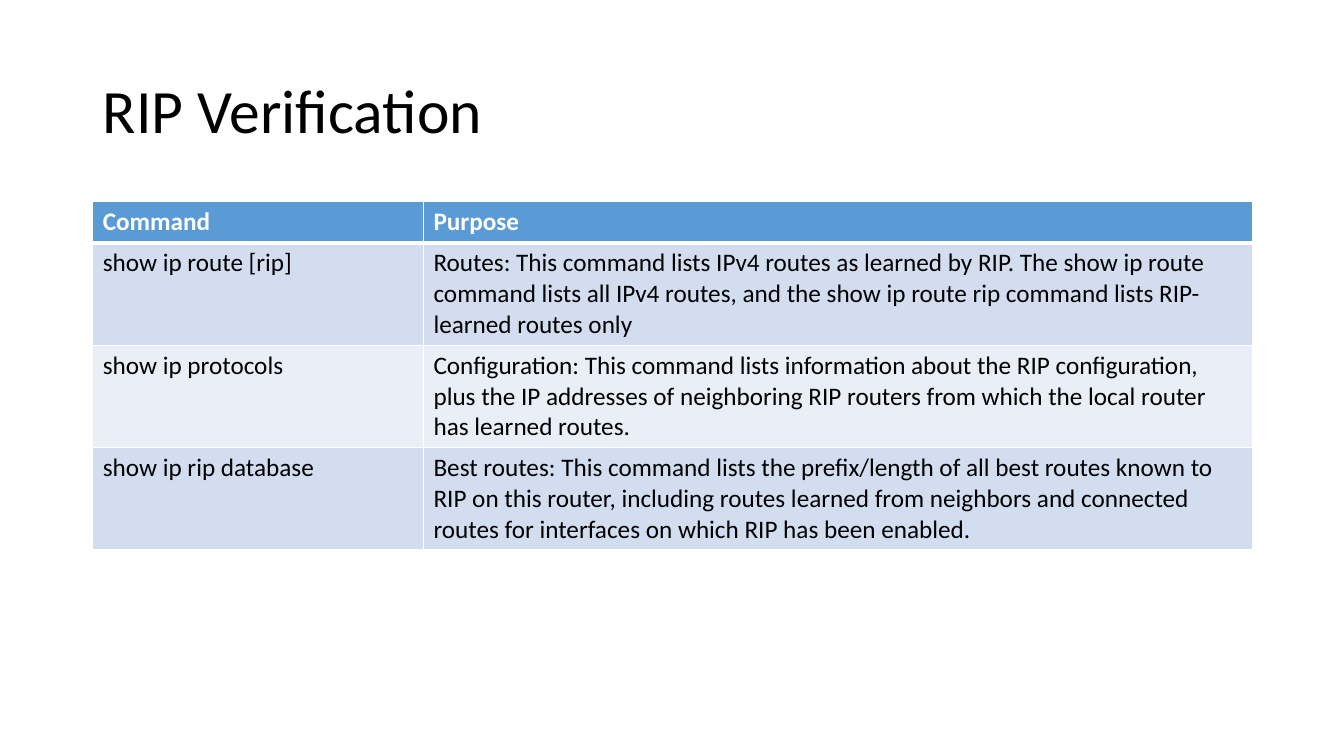
from lxml import etree
from pptx import Presentation
from pptx import util as u
from pptx.dml.color import RGBColor
from pptx.enum import text
from pptx.oxml.ns import qn

PX = 9144
FONT = "Calibri"
COLORS = {
    "ink": "000000",
    "white": "FFFFFF",
    "header": "5B9BD5",
    "odd": "D2DEEF",
    "even": "EAEFF7",
}
HEADING = "RIP Verification"
COMMANDS = [
    ("Command", "Purpose"),
    ("show ip route [rip]",
     "Routes: This command lists IPv4 routes as learned by RIP. The show ip route command "
     "lists all IPv4 routes, and the show ip route rip command lists RIP-learned routes only"),
    ("show ip protocols",
     "Configuration: This command lists information about the RIP configuration, plus the IP "
     "addresses of neighboring RIP routers from which the local router has learned routes."),
    ("show ip rip database",
     "Best routes: This command lists the prefix/length of all best routes known to RIP on this "
     "router, including routes learned from neighbors and connected routes for interfaces on "
     "which RIP has been enabled."),
]


def px(length):
    """Turn px into EMU."""
    return u.Emu(length * PX)


def rgb(name):
    """Look up a named colour."""
    return RGBColor.from_string(COLORS[name])


def write(frame, words, size=18, color="ink", bold=False, spacing=1.0):
    """Fill a text frame with one formatted, left-aligned paragraph."""
    paragraph = frame.paragraphs[0]
    paragraph.alignment = text.PP_ALIGN.LEFT
    paragraph.line_spacing = spacing
    run = paragraph.add_run()
    run.text = words
    run.font.name = FONT
    run.font.size = u.Pt(size)
    run.font.bold = bold
    run.font.color.rgb = rgb(color)


def border(cell, **widths):
    """Draw white cell borders; widths in points are keyed L, R, T, B."""
    properties = cell._tc.get_or_add_tcPr()
    for side, width in widths.items():
        line = etree.SubElement(properties, qn(f"a:ln{side}"), w=str(u.Pt(width)))
        fill = etree.SubElement(line, qn("a:solidFill"))
        etree.SubElement(fill, qn("a:srgbClr"), val=COLORS["white"])


def add_heading(slide, left, top, width, height):
    """Place the slide title in its box."""
    heading = slide.shapes.title
    heading.left, heading.top = px(left), px(top)
    heading.width, heading.height = px(width), px(height)
    heading.text_frame.vertical_anchor = text.MSO_ANCHOR.MIDDLE
    write(heading.text_frame, HEADING, size=44, spacing=0.9)


def add_commands(slide, left, top, width, header_height=41, row_height=101, command_width=328):
    """Place the table of commands and their purposes."""
    frame = slide.shapes.add_table(
        len(COMMANDS), 2, px(left), px(top), px(width),
        px(header_height + row_height * (len(COMMANDS) - 1)))
    commands = frame.table
    commands.columns[0].width = px(command_width)
    commands.columns[1].width = px(width - command_width)
    for i, entry in enumerate(COMMANDS):
        is_header = i == 0
        band = "header" if is_header else "odd" if i % 2 else "even"
        commands.rows[i].height = px(header_height if is_header else row_height)
        for j, words in enumerate(entry):
            cell = commands.cell(i, j)
            border(cell, L=1, R=1, T=3 if i == 1 else 1, B=3 if is_header else 1)
            cell.fill.solid()
            cell.fill.fore_color.rgb = rgb(band)
            write(cell.text_frame, words, color="white" if is_header else "ink", bold=is_header)


def main():
    """Build and save the slide."""
    deck = Presentation()
    deck.slide_width, deck.slide_height = px(1333), px(750)
    slide = deck.slides.add_slide(deck.slide_layouts[5])
    add_heading(slide, 92, 40, 1150, 145)
    add_commands(slide, 92, 200, 1150)
    deck.save("out.pptx")


if __name__ == "__main__":
    main()
